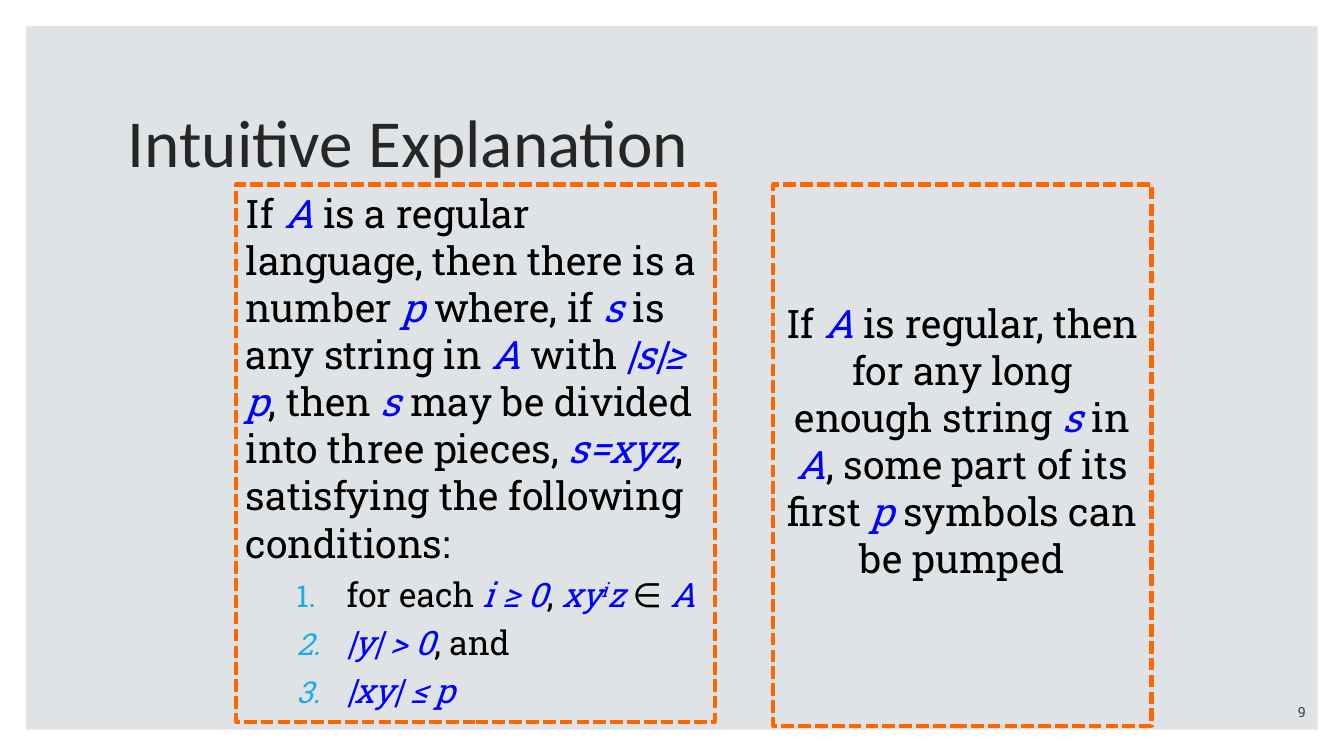
import pptx
import pptx.dml.color
import pptx.enum.dml
import pptx.enum.shapes
import pptx.enum.text
import pptx.oxml
import pptx.oxml.ns
import pptx.util

RGB = pptx.dml.color.RGBColor
PANEL = RGB(0xDF, 0xE3, 0xE5)
ORANGE = RGB(0xFF, 0x66, 0x00)
BLUE = RGB(0x00, 0x00, 0xFF)
BLACK = RGB(0x00, 0x00, 0x00)
TITLE_GREY = RGB(0x26, 0x26, 0x26)
NUMBER_GREY = RGB(0x40, 0x40, 0x40)
BULLET_CYAN = RGB(0x1C, 0xAD, 0xE4)

BODY_FONT = "Roboto Slab"
WIDTH, HEIGHT = 13.33, 7.5
MARGIN = 0.26
BOX_TOP = 1.83

ALIGN = pptx.enum.text.PP_ALIGN
ANCHOR = pptx.enum.text.MSO_ANCHOR

# *...* marks a formula, ^...^ inside it a superscript.
LEMMA = (
    "If *A* is a regular language, then there is a number *p* where, if *s* is "
    "any string in *A* with *|s|≥ p*, then *s* may be divided into three pieces, "
    "*s=xyz*, satisfying the following conditions:"
)
CONDITIONS = ["for each *i ≥ 0*, *xy^i^z* ∈ *A*", "*|y| > 0*, and", "*|xy| ≤ p*"]
SUMMARY = (
    "If *A* is regular, then for any long enough string *s* in *A*, "
    "some part of its first *p* symbols can be pumped"
)


def inches(box):
    return [pptx.util.Inches(length) for length in box]


def add_rectangle(page, box):
    shape = page.shapes.add_shape(
        pptx.enum.shapes.MSO_SHAPE.RECTANGLE, *inches(box))
    shape.shadow.inherit = False
    return shape


def add_label(page, box, text, font, size, colour, anchor, align=ALIGN.LEFT):
    frame = page.shapes.add_textbox(*inches(box)).text_frame
    frame.word_wrap = True
    frame.vertical_anchor = anchor
    para = frame.paragraphs[0]
    para.text = text
    para.alignment = align
    para.font.name = font
    para.font.size = pptx.util.Pt(size)
    para.font.color.rgb = colour
    return para


def add_backdrop(page):
    panel = add_rectangle(
        page, (MARGIN, MARGIN, WIDTH - 2 * MARGIN, HEIGHT - 2 * MARGIN))
    panel.fill.solid()
    panel.fill.fore_color.rgb = PANEL
    panel.line.fill.background()


def add_dashed_box(page, box):
    """Draw an orange dashed frame and return its text frame."""
    shape = add_rectangle(page, box)
    shape.fill.background()
    shape.line.color.rgb = ORANGE
    shape.line.width = pptx.util.Pt(3)
    shape.line.dash_style = pptx.enum.dml.MSO_LINE.SQUARE_DOT
    frame = shape.text_frame
    frame.word_wrap = True
    frame.vertical_anchor = ANCHOR.TOP
    return frame


def write_marked(para, text, size, space_before, align=ALIGN.LEFT):
    """Fill a paragraph, setting marked formulas in blue italics."""
    para.alignment = align
    para.space_before = pptx.util.Pt(space_before)
    para.font.name = BODY_FONT
    para.font.size = pptx.util.Pt(size)
    for index, part in enumerate(text.split("*")):
        formula = index % 2 == 1
        for depth, piece in enumerate(part.split("^")):
            if not piece:
                continue
            span = para.add_run()
            span.text = piece
            span.font.italic = formula
            span.font.color.rgb = BLUE if formula else BLACK
            if depth % 2:
                span.font._element.set("baseline", "30000")


def number_paragraph(para):
    """Give a paragraph a hanging cyan number."""
    para.level = 1
    properties = para._p.get_or_add_pPr()
    properties.set("marL", str(pptx.util.Inches(1)))
    properties.set("indent", str(pptx.util.Inches(-0.5)))
    namespace = pptx.oxml.ns.nsdecls("a")
    for markup in (
        f'<a:buClr {namespace}><a:srgbClr val="{BULLET_CYAN}"/></a:buClr>',
        f'<a:buSzPct {namespace} val="90000"/>',
        f'<a:buAutoNum {namespace} type="arabicPeriod"/>',
    ):
        properties.append(pptx.oxml.parse_xml(markup))


def add_lemma(page, box):
    frame = add_dashed_box(page, box)
    write_marked(frame.paragraphs[0], LEMMA, 28, 7)
    for condition in CONDITIONS:
        para = frame.add_paragraph()
        number_paragraph(para)
        write_marked(para, condition, 24, 5.5)


def add_summary(page, box):
    frame = add_dashed_box(page, box)
    frame.margin_top = pptx.util.Inches(1.14)
    write_marked(frame.paragraphs[0], SUMMARY, 28, 5.6, ALIGN.CENTER)


def main():
    deck = pptx.Presentation()
    deck.slide_width, deck.slide_height = inches((WIDTH, HEIGHT))
    page = deck.slides.add_slide(deck.slide_layouts[6])
    add_backdrop(page)
    title = add_label(page, (1.17, 0.7, 11, 1.5), "Intuitive Explanation",
                      "Calibri", 48, TITLE_GREY, ANCHOR.MIDDLE)
    title.line_spacing = 0.9
    add_summary(page, (7.67, BOX_TOP, 3.75, 5.37))
    add_lemma(page, (2.34, BOX_TOP, 4.75, 5.33))
    add_label(page, (11.45, 6.9, 1.6, 0.3), "9", BODY_FONT, 10, NUMBER_GREY,
              ANCHOR.BOTTOM, ALIGN.RIGHT)
    deck.save("out.pptx")


if __name__ == "__main__":
    main()
